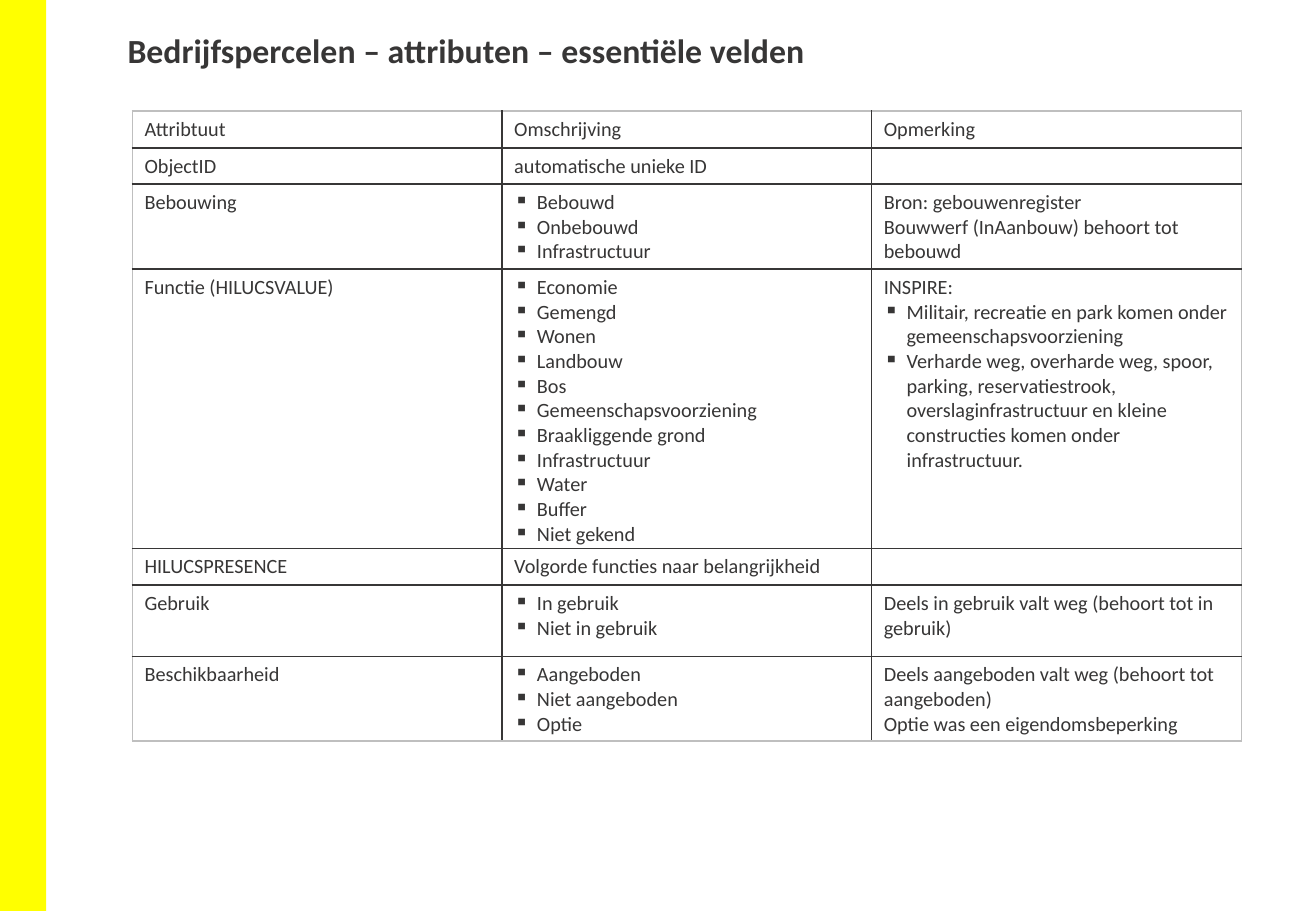
from dataclasses import dataclass

import pptx
import pptx.dml.color
import pptx.enum.shapes
import pptx.enum.text
import pptx.oxml
import pptx.oxml.ns
import pptx.util
from lxml import etree

Pt = pptx.util.Pt
RGB = pptx.dml.color.RGBColor.from_string
qn = pptx.oxml.ns.qn


@dataclass(frozen=True)
class Theme:
    font: str = "Calibri"
    text: str = "373636"
    band: str = "FFFF00"
    paper: str = "FFFFFF"
    inner_line: str = "373636"
    outer_line: str = "BFBFBF"
    title_size: int = 20
    cell_size: int = 12
    line_width: int = 1


THEME = Theme()
COLUMN_WIDTH = 219.1
BULLET_INDENT = 13.5


def plain(*texts):
    return [(text, False) for text in texts]


def bullets(*texts):
    return [(text, True) for text in texts]


# Each row: height, then the paragraphs of its three cells.
ROWS = [
    (21.9, plain("Attribtuut"), plain("Omschrijving"), plain("Opmerking")),
    (21.5, plain("ObjectID"), plain("automatische unieke ID"), []),
    (50.4, plain("Bebouwing"),
     bullets("Bebouwd", "Onbebouwd", "Infrastructuur"),
     plain("Bron: gebouwenregister",
           "Bouwwerf (InAanbouw) behoort tot bebouwd")),
    (165.6, plain("Functie (HILUCSVALUE)"),
     bullets("Economie", "Gemengd", "Wonen", "Landbouw", "Bos",
             "Gemeenschapsvoorziening", "Braakliggende grond",
             "Infrastructuur", "Water", "Buffer", "Niet gekend"),
     plain("INSPIRE:") + bullets(
         "Militair, recreatie en park komen onder gemeenschapsvoorziening",
         "Verharde weg, overharde weg, spoor, parking, reservatiestrook, "
         "overslaginfrastructuur en kleine constructies komen onder "
         "infrastructuur.")),
    (21.7, plain("HILUCSPRESENCE"),
     plain("Volgorde functies naar belangrijkheid"), []),
    (42.3, plain("Gebruik"), bullets("In gebruik", "Niet in gebruik"),
     plain("Deels in gebruik valt weg (behoort tot in gebruik)")),
    (50.2, plain("Beschikbaarheid"),
     bullets("Aangeboden", "Niet aangeboden", "Optie"),
     plain("Deels aangeboden valt weg (behoort tot aangeboden)",
           "Optie was een eigendomsbeperking")),
]


def set_font(paragraph, size, bold=False):
    font = paragraph.font
    font.name, font.size, font.bold = THEME.font, Pt(size), bold
    font.color.rgb = RGB(THEME.text)


def add_band(page, height):
    band = page.shapes.add_shape(
        pptx.enum.shapes.MSO_SHAPE.RECTANGLE, 0, 0, Pt(27.4), height)
    band.shadow.inherit = False
    band.fill.solid()
    band.fill.fore_color.rgb = RGB(THEME.band)
    band.line.fill.background()


def set_title(page, text):
    title = page.shapes.title
    title.left, title.top = Pt(68.4), Pt(13.7)
    title.width, title.height = Pt(658.8), Pt(31.7)
    frame = title.text_frame
    frame.text = text
    frame.vertical_anchor = pptx.enum.text.MSO_ANCHOR.MIDDLE
    frame.paragraphs[0].alignment = pptx.enum.text.PP_ALIGN.LEFT
    set_font(frame.paragraphs[0], THEME.title_size, bold=True)


def add_bullet(paragraph):
    properties = paragraph._p.get_or_add_pPr()
    properties.set("marL", str(Pt(BULLET_INDENT)))
    properties.set("indent", str(-Pt(BULLET_INDENT)))
    etree.SubElement(properties, qn("a:buChar")).set("char", "▪")


def add_border(cell, side, color):
    """Draw one edge of a cell; side is L, R, T or B."""
    line = etree.SubElement(cell._tc.get_or_add_tcPr(), qn(f"a:ln{side}"))
    line.set("w", str(Pt(THEME.line_width)))
    fill = etree.SubElement(line, qn("a:solidFill"))
    etree.SubElement(fill, qn("a:srgbClr")).set("val", color)


def fill_cell(cell, content, outer_sides):
    for side in "LRTB":
        add_border(cell, side, THEME.outer_line if side in outer_sides
                   else THEME.inner_line)
    cell.fill.solid()
    cell.fill.fore_color.rgb = RGB(THEME.paper)
    cell.margin_bottom = Pt(1)
    frame = cell.text_frame
    for index, (text, is_bullet) in enumerate(content):
        paragraph = frame.add_paragraph() if index else frame.paragraphs[0]
        paragraph.text = text
        if is_bullet:
            add_bullet(paragraph)
        set_font(paragraph, THEME.cell_size)
    if not content:
        end = etree.SubElement(frame.paragraphs[0]._p, qn("a:endParaRPr"))
        end.set("sz", str(THEME.cell_size * 100))


def add_attribute_table(page):
    columns = len(ROWS[0]) - 1
    table = page.shapes.add_table(
        len(ROWS), columns, Pt(78.5), Pt(65.8), Pt(COLUMN_WIDTH * columns),
        Pt(sum(row[0] for row in ROWS))).table
    table.first_row = table.horz_banding = False
    for column in table.columns:
        column.width = Pt(COLUMN_WIDTH)
    for row_index, (height, *contents) in enumerate(ROWS):
        table.rows[row_index].height = Pt(height)
        for column_index, content in enumerate(contents):
            edges = {"L": column_index == 0, "R": column_index == columns - 1,
                     "T": row_index == 0, "B": row_index == len(ROWS) - 1}
            outer_sides = [side for side, is_outer in edges.items() if is_outer]
            fill_cell(table.cell(row_index, column_index), content, outer_sides)


def main():
    deck = pptx.Presentation()
    deck.slide_width, deck.slide_height = Pt(780), Pt(540)
    page = deck.slides.add_slide(deck.slide_layouts[5])
    add_band(page, deck.slide_height)
    set_title(page, "Bedrijfspercelen – attributen – essentiële velden")
    add_attribute_table(page)
    deck.save("out.pptx")


if __name__ == "__main__":
    main()
